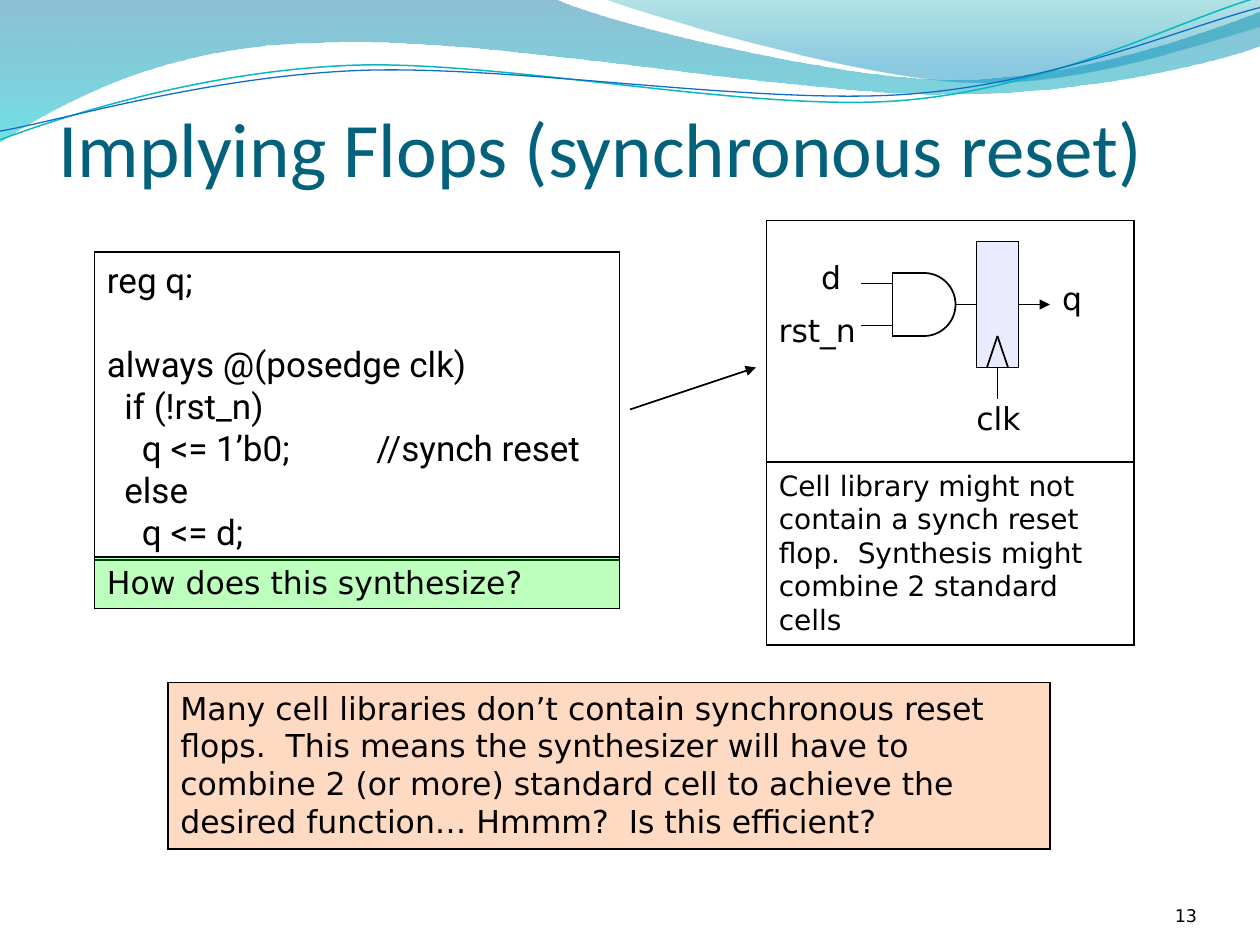
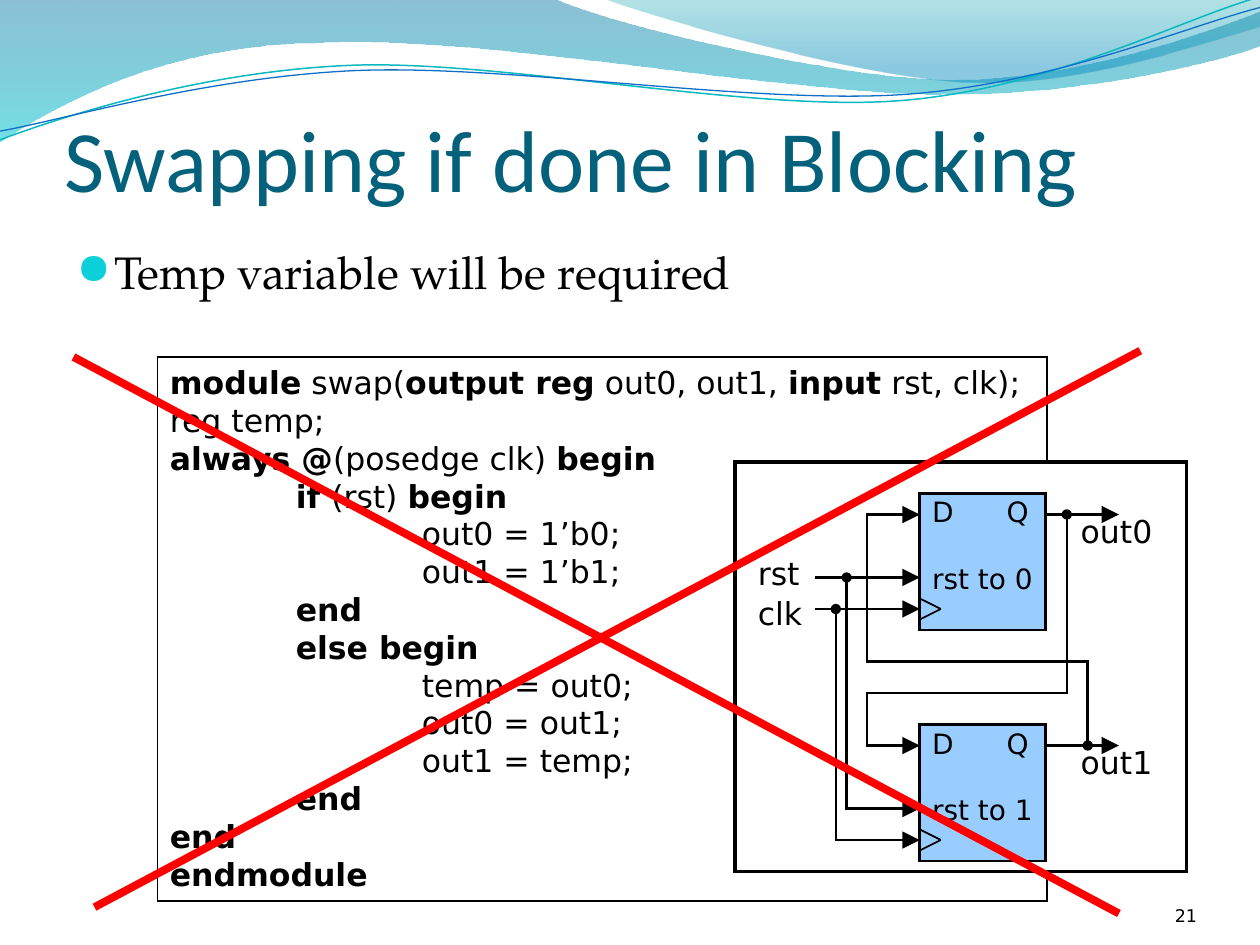
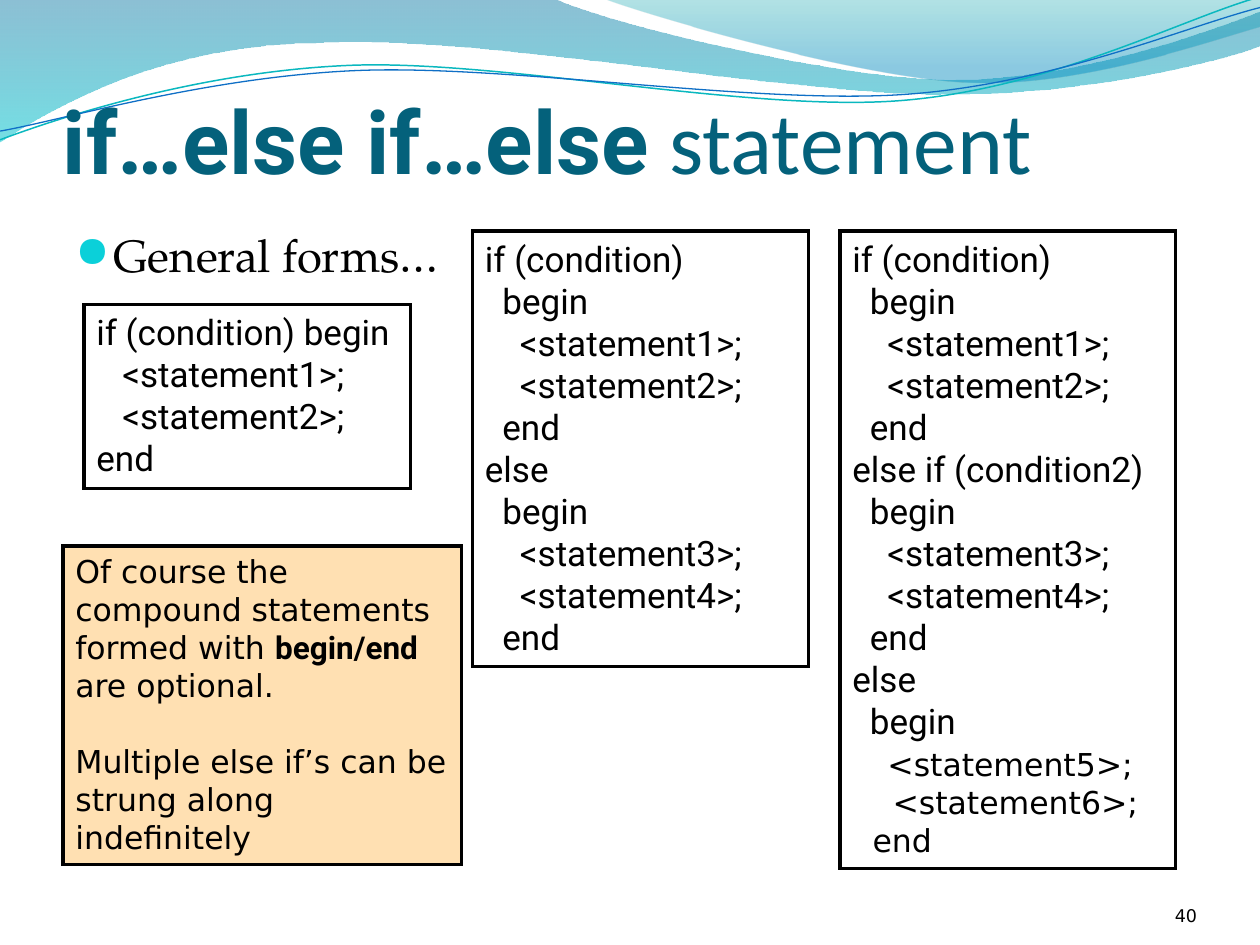
from lxml.etree import SubElement
from pptx import Presentation
from pptx.dml.color import RGBColor
from pptx.enum.shapes import MSO_CONNECTOR, MSO_SHAPE
from pptx.enum.text import MSO_ANCHOR, MSO_AUTO_SIZE, PP_ALIGN
from pptx.oxml.ns import qn
from pptx.util import Pt

COLORS = {
    "black": "000000", "white": "FFFFFF", "title": "04617B", "bullet": "0BD0D9",
    "wave_top": "0074A1", "wave_bottom": "00C6CF",
    "crest_top": "00A1A9", "crest_bottom": "008BBF",
    "teal": "0AB8BF", "blue": "0F6FC6", "red": "FF0000",
    "green": "00FF00", "violet": "6969FF", "orange": "FF6600",
    "amber": "FF9900", "flop": "99CCFF",
}
SANS, CODE, TITLE, BODY = "DejaVu Sans", "Roboto", "Calibri", "TeX Gyre Pagella"
INSETS = (7.2, 3.6, 7.2, 3.6)

# Outlines: two numbers are a corner, six are a Bezier curve.
WAVE = [(0, -0.7), (316.8, -0.7), (342.7, 12.2, 478.1, 45.4, 545.8, 45.4),
        (614.2, 45.4, 689.8, 18.7, 720, 6.5), (720.7, 25.9),
        (707.8, 31.7, 626.4, 54.7, 537.1, 54), (447.8, 54, 275, 20.2, 185, 24.5),
        (92.9, 25.2, 33.1, 59.8, -0.7, 81.4)]
CREST = [(344.9, -0.7), (366.5, 7.9, 491, 44.6, 553.7, 46.8),
         (616.3, 49.7, 691.9, 23, 720, 15.1), (720, 0)]
TEAL_STRAND = [(0, 79.9), (34.6, 67, 113.8, 41, 199.4, 37.4),
               (284.4, 33.8, 427, 64.1, 513.4, 57.6), (599.8, 51.1, 675.4, 10.8, 718.6, -1.4)]
BLUE_STRAND = [(0, 74.9), (33.8, 69.1, 118.1, 43.9, 203.8, 40.3),
               (290.2, 36.7, 429.8, 59.8, 516.2, 54), (601.9, 48.2, 677.5, 15.1, 720, 4.3)]


def rgb(name):
    return RGBColor.from_string(COLORS[name])


def set_alpha(sp, *percents):
    """Give the fill colours of a shape, in order, their opacity."""
    for clr, percent in zip(sp._element.spPr.iter(qn("a:srgbClr")), percents):
        SubElement(clr, qn("a:alpha"), val=str(percent * 1000))


def style_line(obj, color="black", width=1, head=None, tail=None, tail_size="med"):
    obj.line.color.rgb = rgb(color)
    obj.line.width = Pt(width)
    ln = obj._element.spPr.find(qn("a:ln"))
    SubElement(ln, qn("a:miter"), lim="800000")
    if head:
        SubElement(ln, qn("a:headEnd"), type=head)
    if tail:
        SubElement(ln, qn("a:tailEnd"), type=tail, w=tail_size, len=tail_size)


def write(tf, text, size=18, font=SANS, color="black", bold_font=None, step=72,
          align=PP_ALIGN.LEFT, tab=None):
    """Append lines. *...* is bold, a leading tab indents by step points,
    and an empty line becomes space above the next paragraph."""
    gap = 0
    for line in text.split("\n"):
        if not line:
            gap = round(size * 1.2)
            continue
        p = tf.paragraphs[0] if not tf.paragraphs[0].runs else tf.add_paragraph()
        p.alignment = align
        if gap:
            p.space_before = Pt(gap)
            gap = 0
        body = line.lstrip("\t")
        level = len(line) - len(body)
        pPr = p._p.get_or_add_pPr()
        if level:
            pPr.set("marL", "0")
            pPr.set("indent", str(Pt(step * level)))
        if tab and "\t" in body:
            stops = SubElement(pPr, qn("a:tabLst"))
            SubElement(stops, qn("a:tab"), pos=str(Pt(tab)), algn="l")
        for i, part in enumerate(body.split("*")):
            if part:
                r = p.add_run()
                r.text = part
                r.font.bold = i % 2 == 1
                r.font.size = Pt(size)
                r.font.name = bold_font if i % 2 and bold_font else font
                r.font.color.rgb = rgb(color)


def frame(sp, anchor=MSO_ANCHOR.TOP, insets=INSETS):
    tf = sp.text_frame
    tf.word_wrap = True
    tf.vertical_anchor = anchor
    tf.margin_left, tf.margin_top, tf.margin_right, tf.margin_bottom = map(Pt, insets)
    return tf


def add_box(s, box, text="", fill=None, alpha=None, width=1, insets=INSETS, **fmt):
    sp = s.shapes.add_shape(MSO_SHAPE.RECTANGLE, *map(Pt, box))
    sp.shadow.inherit = False
    if fill:
        sp.fill.solid()
        sp.fill.fore_color.rgb = rgb(fill)
        if alpha:
            set_alpha(sp, alpha)
    else:
        sp.fill.background()
    style_line(sp, width=width)
    if text:
        write(frame(sp, insets=insets), text, **fmt)
    return sp


def add_text(s, box, text, anchor=MSO_ANCHOR.TOP, insets=INSETS, **fmt):
    tf = frame(s.shapes.add_textbox(*map(Pt, box)), anchor, insets)
    write(tf, text, **fmt)
    return tf


def add_label(s, x, y, text, width=39.6):
    tf = add_text(s, (x, y, width, 28.8), text)
    tf.word_wrap = False
    tf.auto_size = MSO_AUTO_SIZE.SHAPE_TO_FIT_TEXT


def add_line(s, x1, y1, x2, y2, **line):
    cx = s.shapes.add_connector(MSO_CONNECTOR.STRAIGHT, *map(Pt, (x1, y1, x2, y2)))
    style_line(cx, **line)
    SubElement(cx._element.spPr, qn("a:effectLst"))
    return cx


def add_lines(s, *ends):
    for end in ends:
        add_line(s, *end)


def add_path(s, outline, close=False, **line):
    """Draw an outline; a closed one has no line, an open one no fill."""
    points = [(Pt(seg[-2]), Pt(seg[-1])) for seg in outline]
    fb = s.shapes.build_freeform(*points[0])
    fb.add_line_segments(points[1:], close=close)
    sp = fb.convert_to_shape()
    for seg, node in zip(outline[1:], list(sp._element.spPr.iter(qn("a:lnTo")))):
        if len(seg) == 6:
            node.tag = qn("a:cubicBezTo")
            for x, y in (seg[2:4], seg[0:2]):
                pt = SubElement(node, qn("a:pt"), x=str(Pt(x) - sp.left),
                                y=str(Pt(y) - sp.top))
                node.insert(0, pt)
    sp.shadow.inherit = False
    sp.fill.background()
    if close:
        sp.line.fill.background()
    else:
        style_line(sp, **line)
    return sp


def add_band(s, outline, top, bottom, end, alphas):
    sp = add_path(s, outline, close=True)
    sp.fill.gradient()
    sp.fill.gradient_angle = 270
    for stop, color, position in zip(sp.fill.gradient_stops, (top, bottom), (0, end)):
        stop.color.rgb = rgb(color)
        stop.position = position
    set_alpha(sp, *alphas)


def add_slide(prs, title, number, corner, size=50):
    s = prs.slides.add_slide(prs.slide_layouts[6])
    add_band(s, WAVE, "wave_top", "wave_bottom", 1, (45, 55))
    add_band(s, CREST, "crest_top", "crest_bottom", 0.8, (30, 45))
    add_path(s, TEAL_STRAND, color="teal", width=0.85)
    add_path(s, BLUE_STRAND, color="blue", width=0.75)
    add_text(s, (*corner, 648, 90), title, MSO_ANCHOR.BOTTOM, insets=(0, 3.6, 0, 0),
             size=size, font=TITLE, bold_font=CODE, color="title")
    add_text(s, (624, 500.4, 60, 28.8), number, MSO_ANCHOR.BOTTOM, insets=(0, 0, 0, 0),
             size=10, align=PP_ALIGN.RIGHT)
    return s


def add_bullet(s, x, y, height, text):
    p = add_text(s, (x, y, 648, height), text, size=26, font=BODY).paragraphs[0]
    p.space_before = Pt(5.2)
    pPr = p._p.get_or_add_pPr()
    pPr.set("marL", str(Pt(21.6)))
    pPr.set("indent", str(-Pt(21.6)))
    clr = SubElement(pPr, qn("a:buClr"))
    SubElement(clr, qn("a:srgbClr"), val=COLORS["bullet"])
    SubElement(pPr, qn("a:buSzPct"), val="95000")
    SubElement(pPr, qn("a:buFont"), typeface="OpenSymbol")
    SubElement(pPr, qn("a:buChar"), char="●")


def add_and_gate(s):
    for y, bend in ((192, 184), (156, 164)):
        add_path(s, [(528, y), (537.9, y, 546, bend, 546, 174)])
        add_line(s, 528, y, 510, y)
    add_lines(s, (510, 192, 510, 156), (510, 162, 492, 162), (510, 186, 492, 186))


def add_reset_circuit(s):
    flop = add_box(s, (558, 138, 24, 72), fill="violet", alpha=13)
    add_lines(s, (570, 192, 564, 210), (570, 192, 576, 210))
    add_line(s, 570, 210, 570, 228).begin_connect(flop, 2)
    add_line(s, 582, 174, 600, 174, tail="triangle").begin_connect(flop, 3)
    add_label(s, 550.8, 224.6, "clk")
    add_label(s, 462.2, 144, "d", 25.9)
    add_label(s, 599.8, 156.2, "q", 25.9)
    add_box(s, (438, 126, 210, 138))
    add_box(s, (438, 264, 210, 104.4),
            "Cell library might not contain a synch reset flop.  "
            "Synthesis might combine 2 standard cells", size=16)
    add_and_gate(s)
    add_line(s, 546, 174, 558, 174).end_connect(flop, 1)
    add_label(s, 437.8, 174.2, "rst_n", 61.2)


def add_swap_circuit(s):
    wire = {"width": 1.5, "tail": "triangle", "tail_size": "lg"}
    left, right, pitch = 525.6, 597.6, 132
    tops = [282, 282 + pitch]
    add_box(s, (420, 264, 258, 234), fill="white", width=1.75)
    for i, (top, tap) in enumerate(zip(tops, (609.6, 621.6))):
        add_box(s, (left, top, right - left, 78), f"D\tQ\n\nrst to {i}", fill="flop",
                width=1.5, insets=(7.2, 0.9, 0, 0), size=16, tab=42.5)
        tip = (left + 12, top + 66)
        add_lines(s, (left, top + 72, *tip), (*tip, left, top + 60))
        add_line(s, tap, top + 12, 639.4, top + 12, head="oval", **wire)
        add_label(s, 610.5, top + 7.2, f"out{i}", 55.4)
    for name, drop, bus_x, label_y in (("rst", 48, 483.8, 313.2), ("clk", 66, 477.6, 336.2)):
        y1, y2 = (top + drop for top in tops)
        add_line(s, 465.8, y1, left, y1, **wire)
        add_path(s, [(bus_x, y1), (bus_x, y2), (left, y2)], head="oval", **wire)
        add_label(s, 426, label_y, name)
    q0, q1 = (top + 12 for top in tops)
    for start, end, tap, level in ((q0, q1, 609.6, 396), (q1, q0, 621.6, 378)):
        add_path(s, [(right, start), (tap, start), (tap, level), (495.4, level),
                     (495.4, end), (left, end)], **wire)


def branch(head, first):
    return (f"{head}\n\tbegin\n\t\t<statement{first}>;\n"
            f"\t\t<statement{first + 1}>;\n\tend")


def build_reset_slide(prs):
    s = add_slide(prs, "Implying Flops (synchronous reset)", "13", (33.4, 20), size=44)
    add_box(s, (54, 144, 300, 176),
            "reg q;\n\nalways @(posedge clk)\n\tif (!rst_n)\n"
            "\t\tq <= 1’b0;\t\t  //synch reset\n\telse\n\t\tq <= d;",
            size=20, font=CODE, step=10)
    add_box(s, (54, 318.2, 300, 29.5), "How does this synthesize?", "green", 26)
    add_reset_circuit(s)
    add_line(s, 360, 234, 432, 210, tail="triangle")
    add_box(s, (96, 390, 504, 95),
            "Many cell libraries don’t contain synchronous reset flops.  This means the "
            "synthesizer will have to combine 2 (or more) standard cell to achieve the "
            "desired function… Hmmm?  Is this efficient?", "orange", 24)


def build_swap_slide(prs):
    s = add_slide(prs, "Swapping if done in Blocking", "21", (36.7, 30.2))
    add_bullet(s, 36.7, 136, 345.6, "Temp variable will be required")
    add_box(s, (90, 204, 508.3, 311),
            "*module* swap(*output reg* out0, out1, *input* rst, clk);\nreg temp;\n"
            "*always @*(posedge clk) *begin*\n\t*if *(rst) *begin*\n"
            "\t\tout0 = 1’b0;\n\t\tout1 = 1’b1;\n\t*end*\n\t*else begin*\n"
            "\t\ttemp = out0;\n\t\tout0 = out1;\n\t\tout1 = temp;\n"
            "\t*end*\n*end*\n*endmodule*")
    add_swap_circuit(s)
    for ends in ((42, 204, 639.4, 522), (54, 518.4, 651.6, 200.4)):
        add_line(s, *ends, color="red", width=4.5)


def build_if_slide(prs):
    s = add_slide(prs, "*if…else if…else* statement", "40", (36, 19.6))
    code = {"size": 20, "font": CODE, "width": 1.75}
    add_bullet(s, 36, 126, 42, "General forms…")
    add_box(s, (48, 174, 186.5, 105),
            "if (condition) begin\n\t<statement1>;\n\t<statement2>;\nend", step=14.8, **code)
    add_box(s, (270, 132, 192, 249),
            branch("if (condition)", 1) + "\n" + branch("else", 3), step=10, **code)
    chain = add_box(s, (480, 132, 192, 364.3),
                    branch("if (condition)", 1) + "\n"
                    + branch("else if (condition2)", 3) + "\nelse\n\tbegin",
                    step=10, **code)
    tf = chain.text_frame
    write(tf, "\t\t<statement5>;", step=10)
    tf.paragraphs[-1].space_before = Pt(2.2)
    write(tf, "\t\t<statement6>;\n\tend", step=11.5)
    add_box(s, (36, 312, 228, 182),
            "Of course the compound statements formed with *begin/end* are optional.\n\n"
            "Multiple else if’s can be strung along indefinitely",
            "amber", 30, width=1.75, bold_font=CODE)


def main():
    prs = Presentation()
    prs.slide_width, prs.slide_height = Pt(720), Pt(540)
    build_reset_slide(prs)
    build_swap_slide(prs)
    build_if_slide(prs)
    prs.save("out.pptx")


if __name__ == "__main__":
    main()
